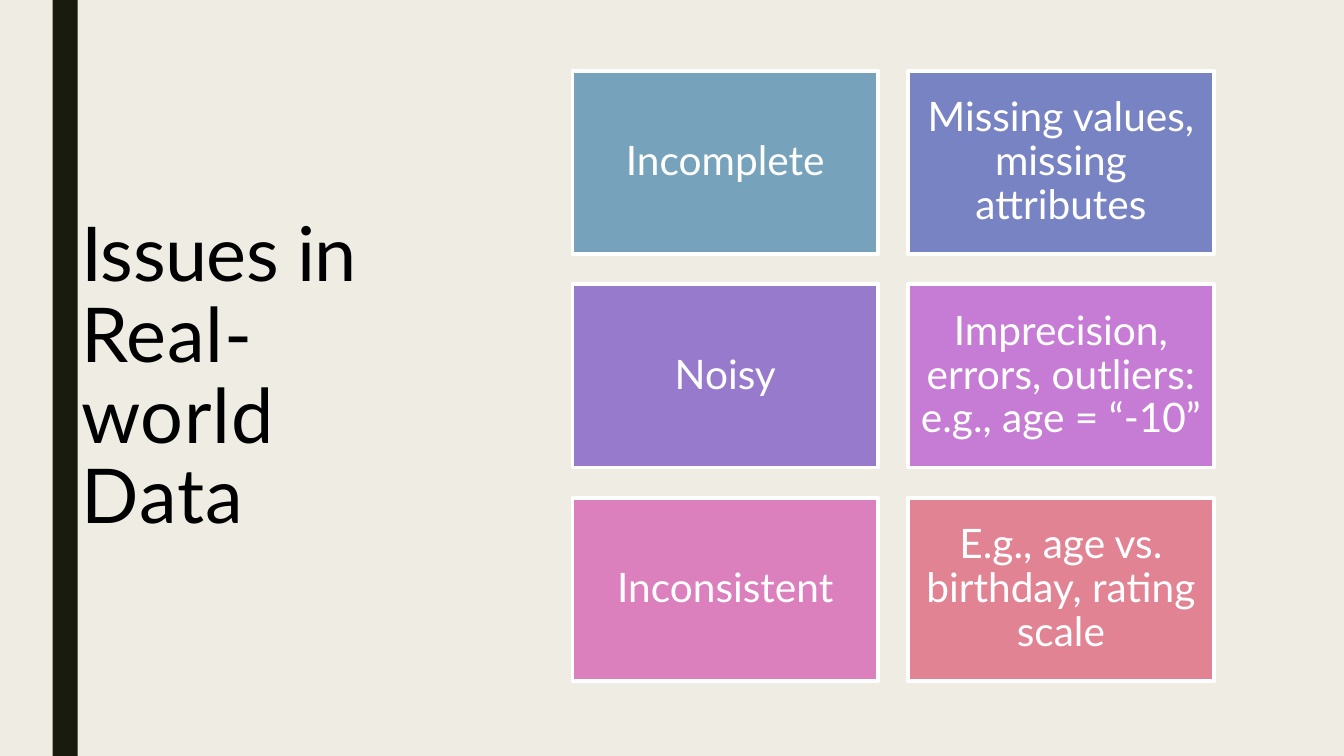
from pptx import Presentation
from pptx.util import Pt
from pptx.dml.color import RGBColor as RGB
from pptx.enum.shapes import MSO_SHAPE as Shape
from pptx.enum.text import MSO_ANCHOR as Anchor, PP_ALIGN as Align

theme = {
    "font": "Lato", "title": 54, "body": 29,
    "back": "EFEDE3", "bar": "191B0E", "ink": "000000", "white": "FFFFFF",
    "tiles": ["77A2BB", "7883C4", "977ACC", "C67CD4", "DB7FBD", "E28394"],
}


def add_rect(left, top, width, height, fill):
    rect = slide.shapes.add_shape(
        Shape.RECTANGLE, Pt(left), Pt(top), Pt(width), Pt(height))
    rect.shadow.inherit = False
    rect.fill.solid()
    rect.fill.fore_color.rgb = RGB.from_string(fill)
    rect.line.fill.background()
    return rect


def add_run(para, text, size, color):
    run = para.add_run()
    run.text = text
    look = {"name": theme["font"], "size": Pt(size)}
    for key, value in look.items():
        setattr(run.font, key, value)
    run.font.color.rgb = RGB.from_string(color)
    return run


# Slide and background
deck = Presentation()
deck.slide_width, deck.slide_height = Pt(960), Pt(540)
slide = deck.slides.add_slide(deck.slide_layouts[6])
slide.background.fill.solid()
slide.background.fill.fore_color.rgb = RGB.from_string(theme["back"])

# Side bar
add_rect(37.5, 0, 18, 540, theme["bar"])

# Title, with letter spacing in hundredths of a point
title = slide.shapes.add_textbox(Pt(49.7), Pt(50.4), Pt(269.3), Pt(440))
frame = title.text_frame
frame.word_wrap = True
frame.vertical_anchor = Anchor.MIDDLE
para = frame.paragraphs[0]
para.line_spacing = 0.89
para._p.get_or_add_pPr().set("marL", str(Pt(1.4)))
for text, gap in [("Issues ", -40), ("in ", -100), ("Real-world ", 50), ("Data", 90)]:
    run = add_run(para, text, theme["title"], theme["ink"])
    run.font._element.set("spc", str(gap))

# Tiles: each issue on the left, its examples on the right
issues = [
    ("Incomplete", "Missing values, missing attributes"),
    ("Noisy", "Imprecision, errors, outliers: e.g., age = “-10”"),
    ("Inconsistent", "E.g., age vs. birthday, rating scale"),
]
left, top, width, height, gap = 409, 50.6, 218.2, 130.9, 21.6
inset = Pt(8.6)
box = {"word_wrap": True, "vertical_anchor": Anchor.MIDDLE,
       "margin_left": inset, "margin_right": inset,
       "margin_top": inset, "margin_bottom": inset}
for row, pair in enumerate(issues):
    for col, text in enumerate(pair):
        tile = add_rect(left + col * (width + gap), top + row * (height + gap),
                        width, height, theme["tiles"][2 * row + col])
        tile.line.color.rgb = RGB.from_string(theme["white"])
        tile.line.width = Pt(2.75)
        for key, value in box.items():
            setattr(tile.text_frame, key, value)
        para = tile.text_frame.paragraphs[0]
        para.alignment = Align.CENTER
        para.line_spacing = 0.9
        add_run(para, text, theme["body"], theme["white"])

deck.save("out.pptx")
